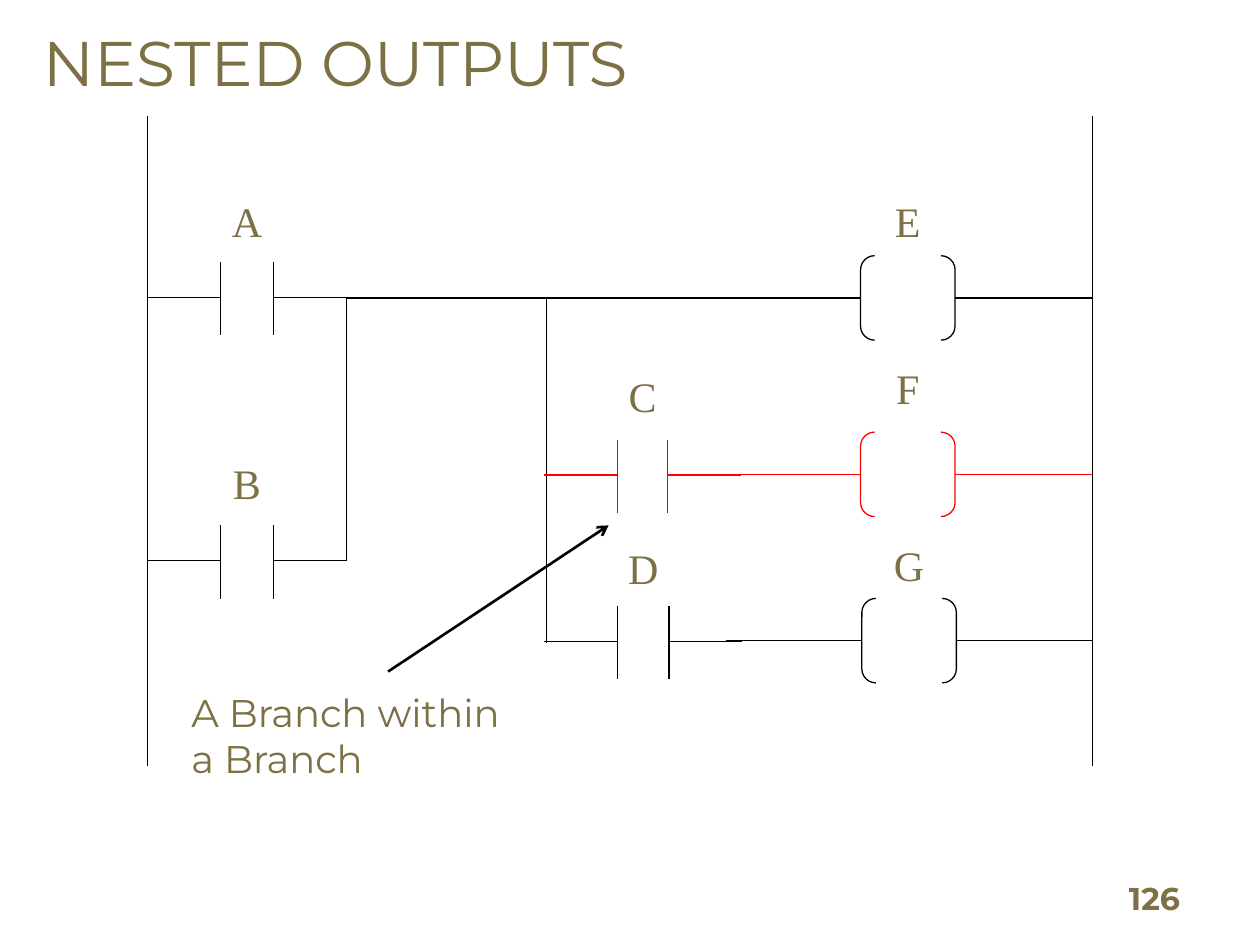
from dataclasses import dataclass

from lxml import etree
from pptx import Presentation
from pptx.dml.color import RGBColor
from pptx.enum.shapes import MSO_CONNECTOR, MSO_SHAPE
from pptx.enum.text import MSO_ANCHOR, MSO_AUTO_SIZE, PP_ALIGN
from pptx.oxml.ns import qn
from pptx.util import Inches, Pt

STRAIGHT = MSO_CONNECTOR.STRAIGHT
BRACKETS = MSO_SHAPE.DOUBLE_BRACKET
TOP, BOTTOM = MSO_ANCHOR.TOP, MSO_ANCHOR.BOTTOM
LEFT, CENTER = PP_ALIGN.LEFT, PP_ALIGN.CENTER
FIXED = MSO_AUTO_SIZE.NONE


@dataclass(frozen=True)
class Theme:
    """Colours, fonts and sizes of the slide."""
    ink: RGBColor = RGBColor(0x7C, 0x70, 0x44)
    wire: RGBColor = RGBColor(0, 0, 0)
    nested: RGBColor = RGBColor(0xFF, 0, 0)
    body_font: str = "Montserrat"
    label_font: str = "Times New Roman"
    title_size: float = 36
    label_size: float = 24
    caption_size: float = 22
    number_size: float = 18
    wire_width: float = 0.75
    arrow_width: float = 1.5


THEME = Theme()
RAIL_LEFT, RAIL_RIGHT = 1.17, 8.67
LEAD = 0.58
LABEL_WIDTH, LABEL_HEIGHT = 0.92, 0.5


def write_text(shape, text, *, size, font=THEME.body_font, bold=False,
               align=LEFT, anchor=TOP, inset=(0.1, 0.05)):
    """Write lines of text into a shape with one format."""
    frame = shape.text_frame
    frame.word_wrap = True
    frame.auto_size = FIXED
    frame.vertical_anchor = anchor
    frame.margin_left = frame.margin_right = Inches(inset[0])
    frame.margin_top = frame.margin_bottom = Inches(inset[1])
    frame.text = text
    for para in frame.paragraphs:
        para.alignment = align
        for span in para.runs:
            span.font.name = font
            span.font.size = Pt(size)
            span.font.bold = bold
            span.font.color.rgb = THEME.ink


def add_text(page, box, text, **style):
    """Add a text box at the given box."""
    write_text(page.shapes.add_textbox(*map(Inches, box)), text, **style)


def add_wire(page, start, end, color=THEME.wire, width=THEME.wire_width):
    """Draw a straight line between two points."""
    wire = page.shapes.add_connector(STRAIGHT, *map(Inches, (*start, *end)))
    wire.line.color.rgb = color
    wire.line.width = Pt(width)
    etree.SubElement(wire._element.spPr, qn("a:effectLst"))
    return wire


def add_label(page, center, top, letter):
    """Centre a letter above a ladder element."""
    box = (center - LABEL_WIDTH / 2, top, LABEL_WIDTH, LABEL_HEIGHT)
    add_text(page, box, letter, size=THEME.label_size,
             font=THEME.label_font, align=CENTER)


def add_contact(page, box, letter, label_top, color=THEME.wire):
    """Draw a contact as two bars with a lead on either side."""
    left, top, width, height = box
    right, level = left + width, top + 0.28
    for bar in (left, right):
        add_wire(page, (bar, top), (bar, top + height), color)
    add_wire(page, (left - LEAD, level), (left, level), color)
    add_wire(page, (right, level), (right + LEAD, level), color)
    add_label(page, left + width / 2, label_top, letter)


def add_coil(page, box, letter, label_top, wire_start, color=THEME.wire):
    """Draw an output coil with its feed and its wire to the right rail."""
    left, top, width, height = box
    level = top + height / 2
    coil = page.shapes.add_shape(BRACKETS, *map(Inches, box))
    coil.shadow.inherit = False
    coil.fill.background()
    coil.line.color.rgb = color
    coil.line.width = Pt(THEME.wire_width)
    add_wire(page, (wire_start, level), (left, level), color)
    add_wire(page, (left + width, level), (RAIL_RIGHT, level), color)
    add_label(page, left + width / 2, label_top, letter)


def add_ladder(page, box):
    """Draw the rails, branches, contacts and coils."""
    left, top, width, height = box
    for rail in (left, left + width):
        add_wire(page, (rail, top), (rail, top + height))
    add_wire(page, (2.75, 2.36), (2.75, 4.45))
    add_wire(page, (4.34, 2.37), (4.34, 5.1))
    contacts = [
        ("A", 1.75, 2.08, 0.42, 1.5, THEME.wire),
        ("B", 1.75, 4.17, 0.42, 3.58, THEME.wire),
        ("C", 4.9, 3.49, 0.4, 2.89, THEME.nested),
        ("D", 4.9, 4.81, 0.41, 4.26, THEME.wire),
    ]
    for letter, x, y, gap, label_top, color in contacts:
        add_contact(page, (x, y, gap, 0.58), letter, label_top, color)
    coils = [
        ("E", 6.83, 2.03, 1.5, 2.75, THEME.wire),
        ("F", 6.83, 3.43, 2.83, 5.75, THEME.nested),
        ("G", 6.84, 4.75, 4.23, 5.76, THEME.wire),
    ]
    for letter, x, y, label_top, wire_start, color in coils:
        add_coil(page, (x, y, 0.75, 0.67), letter, label_top, wire_start, color)


def add_title(page, box):
    """Place and format the title placeholder."""
    title = page.shapes.title
    title.left, title.top, title.width, title.height = map(Inches, box)
    write_text(title, "NESTED OUTPUTS", size=THEME.title_size,
               inset=(0.09, 0.04))


def add_callout(page, box):
    """Add the caption and its arrow to the nested branch."""
    add_text(page, box, "A Branch within\na Branch", size=THEME.caption_size)
    arrow = add_wire(page, (3.08, 5.33), (4.83, 4.17), width=THEME.arrow_width)
    etree.SubElement(arrow.line._get_or_add_ln(), qn("a:tailEnd"), type="arrow")


def add_page_number(page, box):
    """Add the page number."""
    add_text(page, box, "126", size=THEME.number_size, bold=True,
             anchor=BOTTOM, inset=(0.09, 0.04))


def main():
    """Build and save the deck."""
    deck = Presentation()
    deck.slide_width, deck.slide_height = Inches(10), Inches(7.5)
    page = deck.slides.add_slide(deck.slide_layouts[5])
    add_title(page, (0.25, 0.15, 9.2, 0.69))
    add_ladder(page, (RAIL_LEFT, 0.92, RAIL_RIGHT - RAIL_LEFT, 5.16))
    add_callout(page, (1.42, 5.42, 2.75, 1.21))
    add_page_number(page, (8.87, 7.01, 1.06, 0.31))
    deck.save("out.pptx")


if __name__ == "__main__":
    main()
